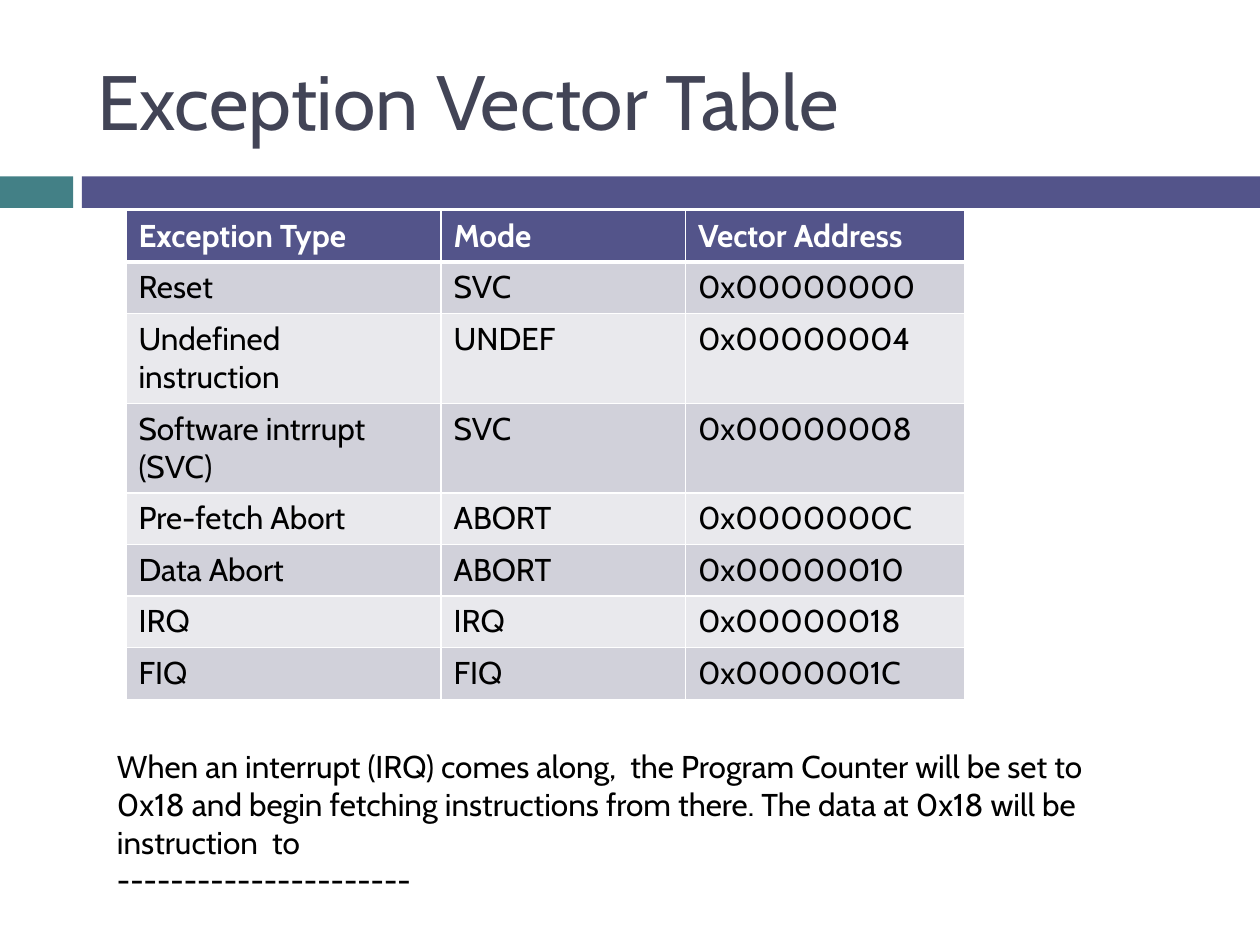
import pptx
import pptx.util
import pptx.dml.color
import pptx.enum.shapes
import pptx.enum.text
import pptx.oxml
import pptx.oxml.ns

Inches = pptx.util.Inches
RGBColor = pptx.dml.color.RGBColor

FONT = "Cabin"
WHITE = RGBColor(0xFF, 0xFF, 0xFF)
BLACK = RGBColor(0, 0, 0)
TEAL = RGBColor(0x43, 0x80, 0x86)
INDIGO = RGBColor(0x53, 0x54, 0x8A)
SLATE = RGBColor(0x42, 0x44, 0x56)
BANDS = (RGBColor(0xD1, 0xD1, 0xDA), RGBColor(0xE9, 0xE9, 0xED))

COLUMN_WIDTHS = (2.5, 1.94, 2.22)
ROW_HEIGHT = 0.41
VECTORS = (
    ("Exception Type", "Mode", "Vector Address"),
    ("Reset", "SVC", "0x00000000"),
    ("Undefined instruction", "UNDEF", "0x00000004"),
    ("Software intrrupt (SVC)", "SVC", "0x00000008"),
    ("Pre-fetch Abort", "ABORT", "0x0000000C"),
    ("Data Abort", "ABORT", "0x00000010"),
    ("IRQ", "IRQ", "0x00000018"),
    ("FIQ", "FIQ", "0x0000001C"),
)
NOTE = (
    "When an interrupt (IRQ) comes along,  the Program Counter will be set to "
    "0x18 and begin fetching instructions from there. The data at 0x18 will be "
    "instruction  to\n----------------------"
)


def write_text(frame, text, size=18, color=BLACK, bold=False):
    """Fill the frame with one left-aligned paragraph per line of text."""
    frame.text = text
    for para in frame.paragraphs:
        para.alignment = pptx.enum.text.PP_ALIGN.LEFT
        for span in para.runs:
            span.font.name = FONT
            span.font.size = pptx.util.Pt(size)
            span.font.bold = bold
            span.font.color.rgb = color


def add_bar(page, left, width, color):
    bar = page.shapes.add_shape(
        pptx.enum.shapes.MSO_SHAPE.RECTANGLE,
        Inches(left), Inches(1.4), Inches(width), Inches(0.25))
    bar.shadow.inherit = False
    bar.fill.solid()
    bar.fill.fore_color.rgb = color
    bar.line.fill.background()


def set_borders(cell, **widths):
    """Draw white borders; widths are points, keyed by side in L, R, T, B order."""
    properties = cell._tc.get_or_add_tcPr()
    for position, (side, width) in enumerate(widths.items()):
        border = pptx.oxml.parse_xml(
            f'<a:ln{side} {pptx.oxml.ns.nsdecls("a")} w="{pptx.util.Pt(width)}">'
            f'<a:solidFill><a:srgbClr val="{WHITE}"/></a:solidFill></a:ln{side}>')
        properties.insert(position, border)


def add_vector_table(page):
    table = page.shapes.add_table(
        len(VECTORS), len(COLUMN_WIDTHS), Inches(1), Inches(1.67),
        Inches(sum(COLUMN_WIDTHS)), Inches(ROW_HEIGHT * len(VECTORS))).table
    for column, width in zip(table.columns, COLUMN_WIDTHS):
        column.width = Inches(width)
    for row_number, values in enumerate(VECTORS):
        table.rows[row_number].height = Inches(ROW_HEIGHT)
        header = row_number == 0
        for column_number, value in enumerate(values):
            cell = table.cell(row_number, column_number)
            write_text(cell.text_frame, value, bold=header,
                       color=WHITE if header else BLACK)
            cell.fill.solid()
            cell.fill.fore_color.rgb = INDIGO if header else BANDS[(row_number - 1) % 2]
            set_borders(cell, L=1, R=1, T=3 if row_number == 1 else 1,
                        B=3 if header else 1)


def place_title(page, text):
    title = page.shapes.title
    title.left, title.top = Inches(0.67), Inches(0.25)
    title.width, title.height = Inches(8.92), Inches(1.08)
    title.text_frame.vertical_anchor = pptx.enum.text.MSO_ANCHOR.MIDDLE
    write_text(title.text_frame, text, size=44, color=SLATE)


def add_note(page, text):
    box = page.shapes.add_textbox(Inches(0.83), Inches(5.88), Inches(8.42), Inches(1.01))
    box.text_frame.word_wrap = True
    write_text(box.text_frame, text)


def main():
    deck = pptx.Presentation()
    deck.slide_width, deck.slide_height = Inches(10), Inches(7.5)
    page = deck.slides.add_slide(deck.slide_layouts.get_by_name("Title Only"))
    add_bar(page, 0, 0.58, TEAL)
    add_bar(page, 0.65, 9.35, INDIGO)
    place_title(page, "Exception Vector Table")
    add_vector_table(page)
    add_note(page, NOTE)
    deck.save("out.pptx")


if __name__ == "__main__":
    main()
